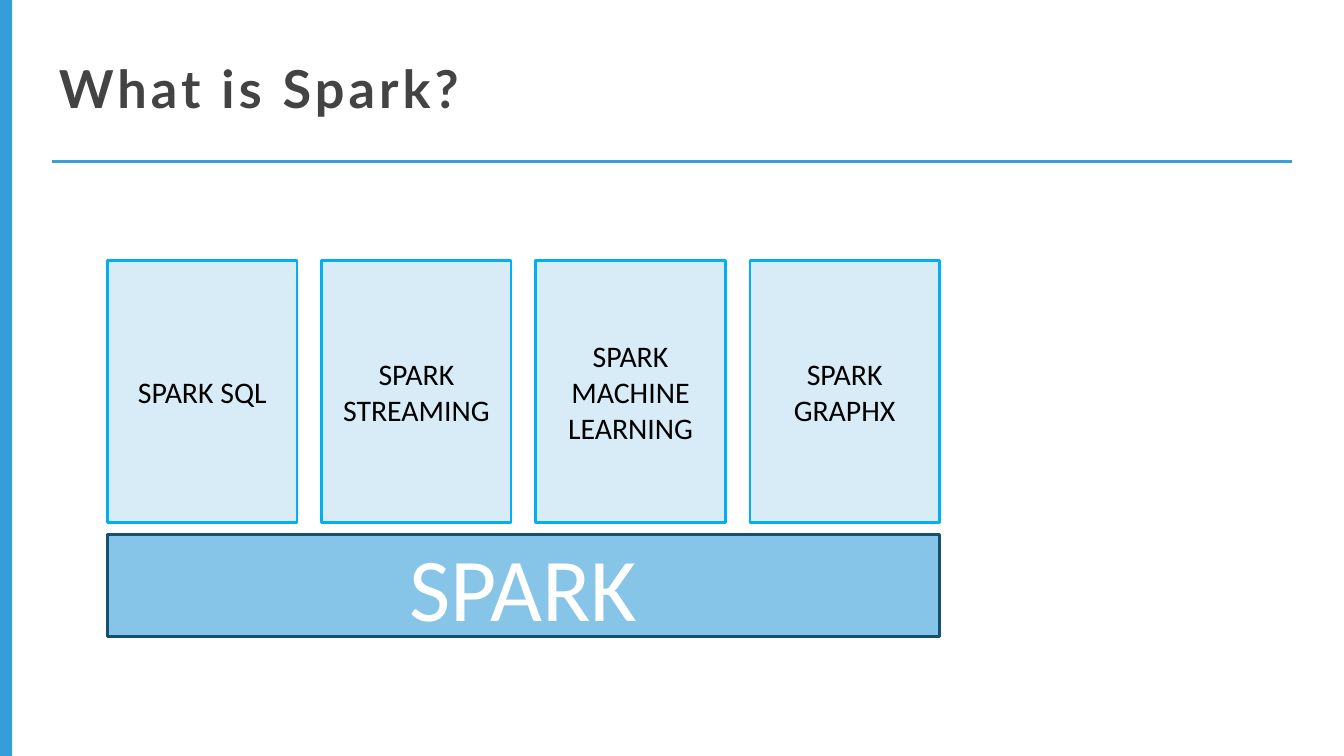
from lxml import etree
from pptx import Presentation
from pptx import util as u
from pptx.dml.color import RGBColor
from pptx.enum import shapes, text
from pptx.oxml.ns import qn

WIDTH = 10
HEIGHT = WIDTH * 9 / 16
COLORS = {
    "accent": "359ED8", "rule": "3A9ED9", "title": "434343",
    "core": "86C5E8", "core_line": "165071",
    "module": "D7ECF7", "module_line": "00B0F0",
    "white": "FFFFFF", "black": "000000",
}
MODULES = ["SPARK SQL", "SPARK STREAMING", "SPARK MACHINE LEARNING", "SPARK GRAPHX"]
GRID_LEFT, GRID_WIDTH = 0.8, 6.19
MODULE_TOP, MODULE_WIDTH, MODULE_HEIGHT = 1.94, 1.41, 1.95
CORE_TOP, CORE_HEIGHT = 3.98, 0.76


def color(name):
    return RGBColor.from_string(COLORS[name])


def write(shape, content, size, ink, font="Calibri", bold=False, spacing=0,
          align=text.PP_ALIGN.CENTER, anchor=text.MSO_ANCHOR.MIDDLE):
    frame = shape.text_frame
    frame.word_wrap = True
    frame.vertical_anchor = anchor
    paragraph = frame.paragraphs[0]
    paragraph.alignment = align
    run = paragraph.add_run()
    run.text = content
    run.font.name = font
    run.font.size = u.Pt(size)
    run.font.bold = bold
    run.font.color.rgb = color(ink)
    if spacing:
        run.font._element.set("spc", str(round(spacing * 100)))


def add_box(slide, left, top, width, height, fill, line=None):
    shape = slide.shapes.add_shape(
        shapes.MSO_SHAPE.RECTANGLE, *map(u.Inches, (left, top, width, height)))
    shape.shadow.inherit = False
    shape.fill.solid()
    shape.fill.fore_color.rgb = color(fill)
    if line:
        shape.line.color.rgb = color(line)
        shape.line.width = u.Pt(1.5)
    else:
        shape.line.fill.background()
    return shape


def add_rule(slide, left, right, top):
    rule = slide.shapes.add_connector(
        shapes.MSO_CONNECTOR.STRAIGHT, *map(u.Inches, (left, top, right, top)))
    rule.line.color.rgb = color("rule")
    rule.line.width = u.Pt(1.5)
    etree.SubElement(rule._element.spPr, qn("a:effectLst"))


def add_title(slide, content):
    box = slide.shapes.add_textbox(*map(u.Inches, (0.34, 0.32, 7.23, 0.63)))
    frame = box.text_frame
    frame.margin_left = frame.margin_right = u.Inches(0.1)
    frame.margin_top = frame.margin_bottom = u.Inches(0.1)
    write(box, content, 28, "title", font="Lato", bold=True, spacing=2.2,
          align=text.PP_ALIGN.LEFT, anchor=text.MSO_ANCHOR.TOP)


def add_stack(slide):
    core = add_box(slide, GRID_LEFT, CORE_TOP, GRID_WIDTH, CORE_HEIGHT, "core", "core_line")
    write(core, "SPARK", 48, "white")
    pitch = (GRID_WIDTH - MODULE_WIDTH) / (len(MODULES) - 1)
    for column, name in enumerate(MODULES):
        module = add_box(slide, GRID_LEFT + column * pitch, MODULE_TOP,
                         MODULE_WIDTH, MODULE_HEIGHT, "module", "module_line")
        write(module, name, 16, "black")


def main():
    presentation = Presentation()
    presentation.slide_width = u.Inches(WIDTH)
    presentation.slide_height = u.Inches(HEIGHT)
    slide = presentation.slides.add_slide(presentation.slide_layouts[6])
    add_box(slide, 0, 0, 0.09, HEIGHT, "accent")
    add_title(slide, "What is Spark?")
    add_rule(slide, 0.39, WIDTH - 0.39, 1.2)
    add_stack(slide)
    presentation.save("out.pptx")


if __name__ == "__main__":
    main()
